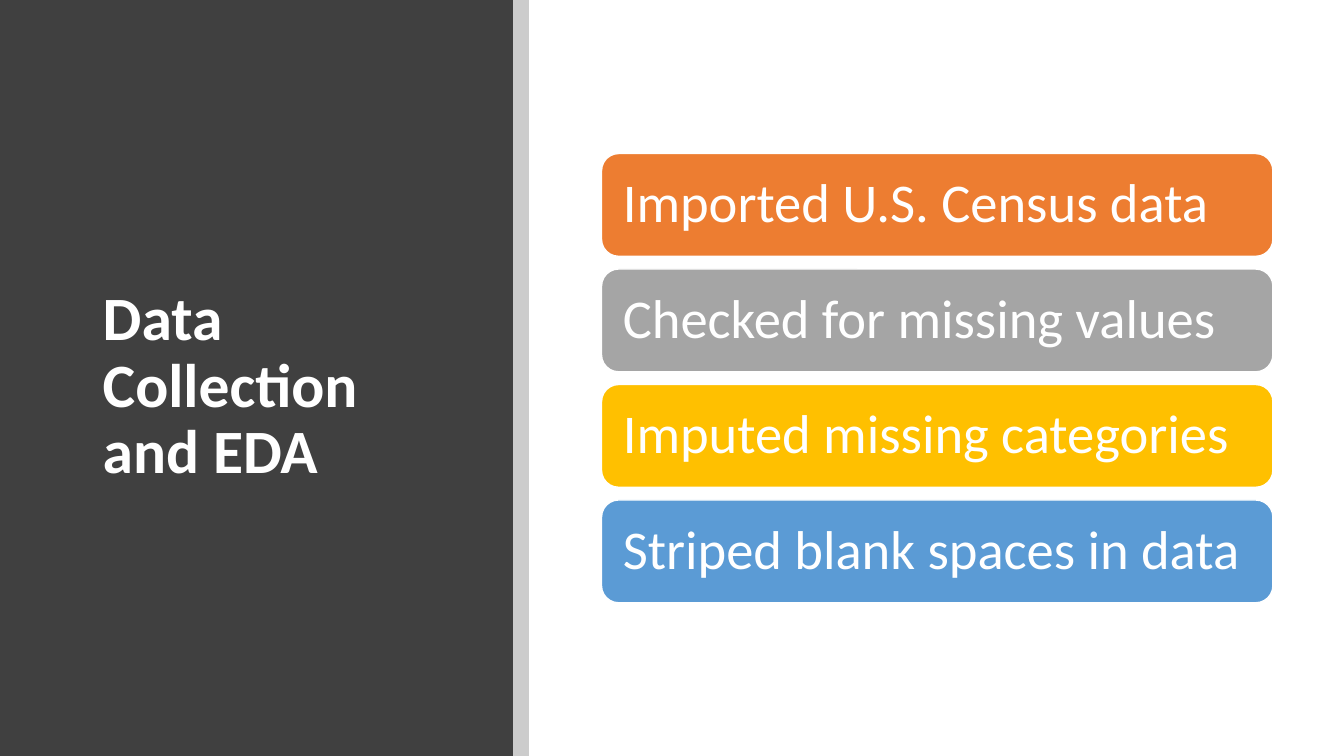
from dataclasses import dataclass

from lxml import etree
from pptx import Presentation
from pptx import util as u
from pptx.dml.color import RGBColor
from pptx.enum import shapes, text
from pptx.oxml.ns import qn


@dataclass(frozen=True)
class Theme:
    font: str = "Calibri"
    title_size: float = 44
    step_size: float = 39
    line_spacing: float = 0.9
    light: str = "FFFFFF"
    panel: str = "404040"
    divider: str = "000000"
    step_fills: tuple = ("ED7D31", "A5A5A5", "FFC000", "5B9BD5")


class SlideBuilder:
    def __init__(self, slide, theme):
        self.slide = slide
        self.theme = theme

    def block(self, kind, left, top, width, height, fill, alpha=None, outline=None):
        shape = self.slide.shapes.add_shape(
            kind, u.Cm(left), u.Cm(top), u.Cm(width), u.Cm(height))
        shape.shadow.inherit = False
        shape.fill.solid()
        shape.fill.fore_color.rgb = RGBColor.from_string(fill)
        if alpha is not None:
            color = shape.element.spPr.find(qn("a:solidFill"))[0]
            etree.SubElement(color, qn("a:alpha"), val=str(alpha * 1000))
        if outline:
            shape.line.color.rgb = RGBColor.from_string(outline)
            shape.line.width = u.Pt(1)
        else:
            shape.line.fill.background()
        return shape

    def label(self, shape, words, size, inset, bold=False):
        frame = shape.text_frame
        frame.word_wrap = True
        frame.vertical_anchor = text.MSO_ANCHOR.MIDDLE
        frame.margin_left = frame.margin_right = u.Cm(inset)
        frame.margin_top = frame.margin_bottom = u.Cm(inset)
        paragraph = frame.paragraphs[0]
        paragraph.alignment = text.PP_ALIGN.LEFT
        paragraph.line_spacing = self.theme.line_spacing
        run = paragraph.add_run()
        run.text = words
        run.font.name = self.theme.font
        run.font.size = u.Pt(size)
        run.font.bold = bold
        run.font.color.rgb = RGBColor.from_string(self.theme.light)

    def title(self, words, left, top, width, height):
        heading = self.slide.shapes.add_textbox(
            u.Cm(left), u.Cm(top), u.Cm(width), u.Cm(height))
        self.label(heading, words, self.theme.title_size, 0.25, bold=True)

    def step(self, words, fill, left, top, width, height):
        bar = self.block(shapes.MSO_SHAPE.ROUNDED_RECTANGLE, left, top, width,
                         height, fill, outline=self.theme.light)
        self.label(bar, words, self.theme.step_size, 0.41)


def main():
    deck = Presentation()
    deck.slide_width, deck.slide_height = u.Cm(33.87), u.Cm(19.05)
    theme = Theme()
    builder = SlideBuilder(deck.slides.add_slide(deck.slide_layouts[6]), theme)

    # Dark title panel with its divider
    rectangle = shapes.MSO_SHAPE.RECTANGLE
    builder.block(rectangle, 0, 0, 12.93, 19.05, theme.panel)
    builder.title("Data Collection and EDA", 2.34, 2.26, 9.27, 15.01)
    builder.block(rectangle, 12.93, 0, 0.4, 19.05, theme.divider, alpha=20)

    # Data preparation steps, evenly stacked
    steps = ("Imported U.S. Census data", "Checked for missing values",
             "Imputed missing categories", "Striped blank spaces in data")
    first_top, pitch = 3.87, 2.91
    for row, (words, fill) in enumerate(zip(steps, theme.step_fills)):
        builder.step(words, fill, 15.16, first_top + row * pitch, 16.92, 2.59)

    deck.save("out.pptx")


if __name__ == "__main__":
    main()
